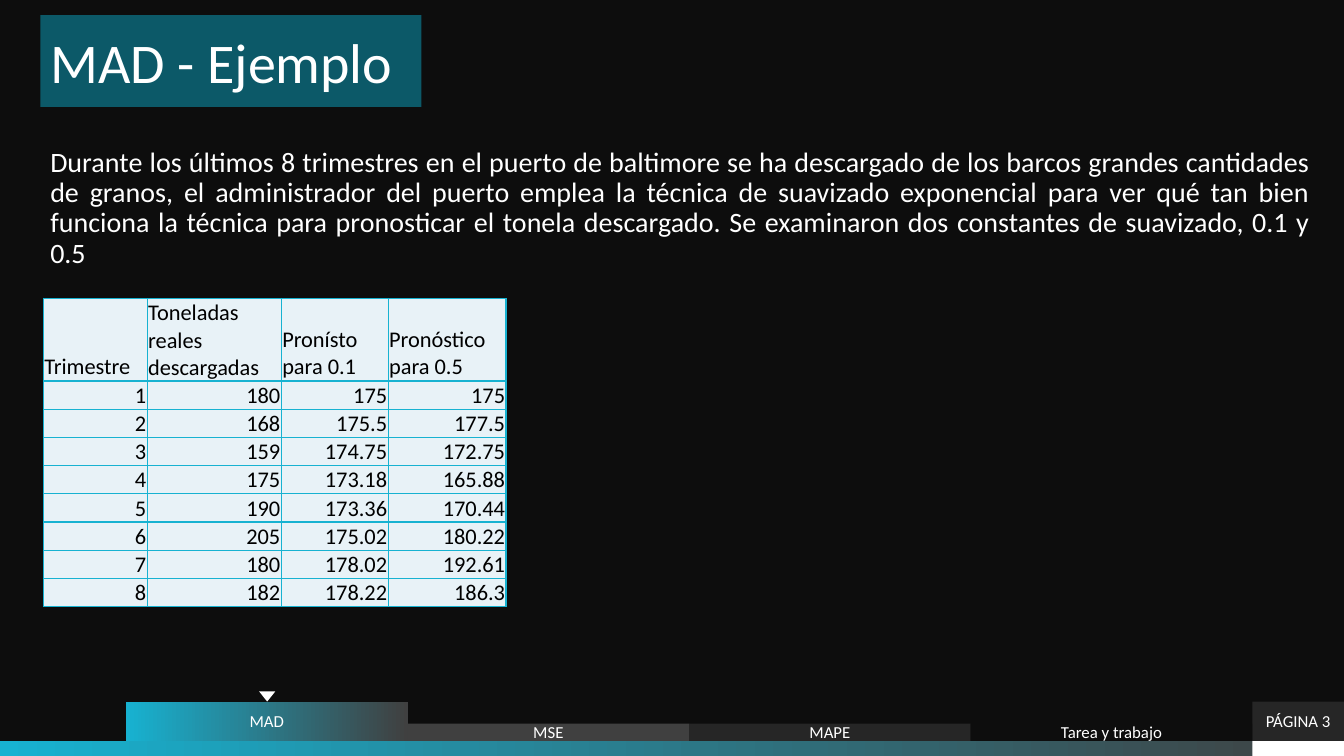
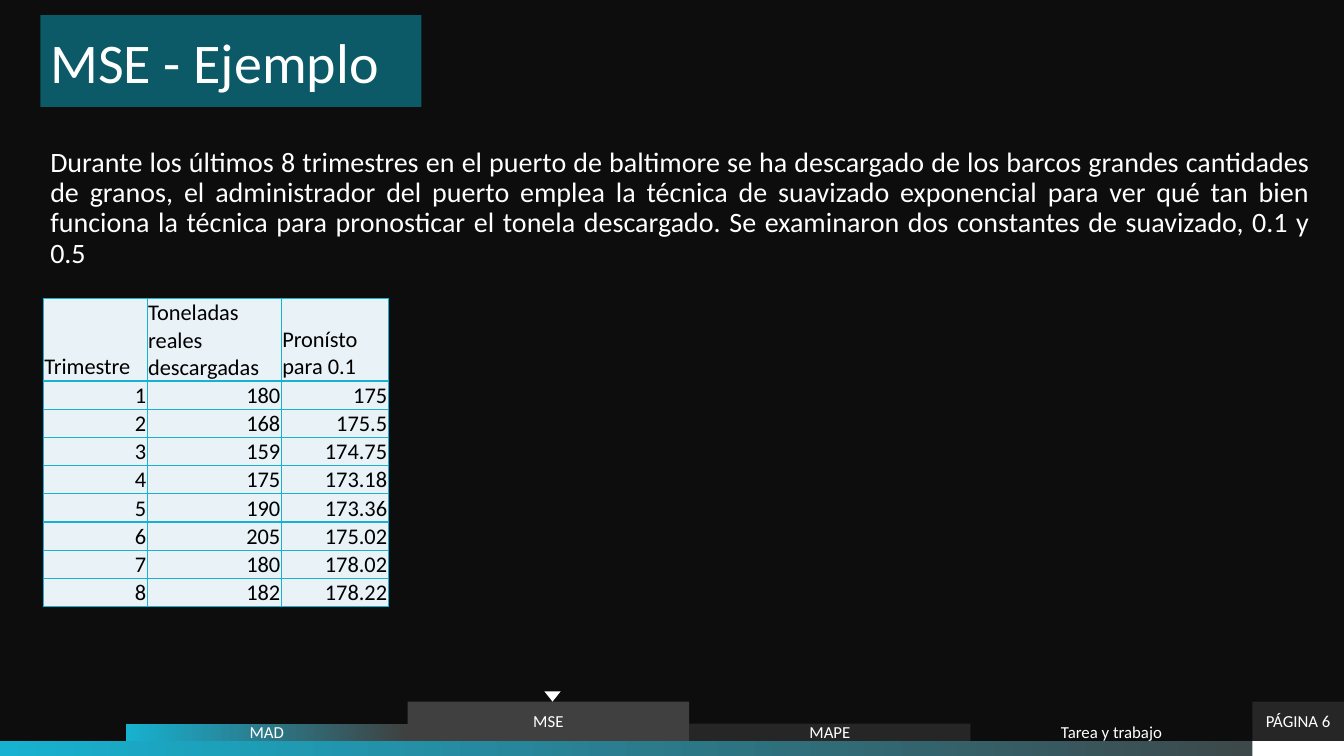
from lxml import etree
from pptx import Presentation
from pptx.dml.color import RGBColor
from pptx.enum import shapes, text
from pptx.oxml.ns import qn
from pptx.util import Inches, Pt

FONT = "Calibri"
BLACK, WHITE, INK = "000000", "FFFFFF", "0D0D0D"
CYAN, TEAL, PALE = "17B2D1", "0C5968", "E8F2F7"
GRAY, CHARCOAL = "404040", "262626"
FADE = (CYAN, GRAY)

STATEMENT = (
    "Durante los últimos 8 trimestres en el puerto de baltimore se ha descargado "
    "de los barcos grandes cantidades de granos, el administrador del puerto emplea "
    "la técnica de suavizado exponencial para ver qué tan bien funciona la técnica "
    "para pronosticar el tonela descargado. Se examinaron dos constantes de suavizado, "
    "0.1 y 0.5"
)
TABS = [("MAD", FADE), ("MSE", GRAY), ("MAPE", CHARCOAL), ("Tarea y trabajo", INK)]
COLUMNS = [
    ("Trimestre", 1.03),
    ("Toneladas reales descargadas", 1.33),
    ("Pronísto para 0.1", 1.06),
    ("Pronóstico para 0.5", 1.17),
]
QUARTERS = [
    ("1", "180", "175", "175"),
    ("2", "168", "175.5", "177.5"),
    ("3", "159", "174.75", "172.75"),
    ("4", "175", "173.18", "165.88"),
    ("5", "190", "173.36", "170.44"),
    ("6", "205", "175.02", "180.22"),
    ("7", "180", "178.02", "192.61"),
    ("8", "182", "178.22", "186.3"),
]
PAGES = [
    {"active": "MAD", "number": 3, "columns": 4, "marker": 2.65},
    {"active": "MSE", "number": 6, "columns": 3, "marker": 5.48},
]

WIDTH, HEIGHT = 13.33, 7.5
BAND_TOP, TAB_TOP, LOW_TAB_TOP = 7.35, 6.96, 7.18
TABS_LEFT, NUMBER_LEFT = 1.25, 12.42
TAB_WIDTH = (NUMBER_LEFT - TABS_LEFT) / len(TABS)
HEADER_ROW, BODY_ROW = 0.82, 0.28


def rgb(value):
    return RGBColor.from_string(value)


def write(frame, words, size=12, color=WHITE, align=text.PP_ALIGN.LEFT,
          anchor=text.MSO_ANCHOR.MIDDLE, spacing=None, margin_y=0):
    frame.word_wrap = True
    frame.vertical_anchor = anchor
    frame.margin_top = frame.margin_bottom = Inches(margin_y)
    para = frame.paragraphs[0]
    para.alignment = align
    if spacing:
        para.line_spacing = spacing
    span = para.add_run()
    span.text = words
    span.font.name = FONT
    span.font.size = Pt(size)
    span.font.color.rgb = rgb(color)


def add_block(page, left, top, width, height, fill,
              kind=shapes.MSO_SHAPE.RECTANGLE):
    block = page.shapes.add_shape(
        kind, Inches(left), Inches(top), Inches(width), Inches(height))
    block.shadow.inherit = False
    block.line.fill.background()
    if isinstance(fill, tuple):
        block.fill.gradient()
        block.fill.gradient_angle = 0
        for stop, color in zip(block.fill.gradient_stops, fill):
            stop.color.rgb = rgb(color)
    else:
        block.fill.solid()
        block.fill.fore_color.rgb = rgb(fill)
    return block


def add_footer(page, active, number, marker):
    center = text.PP_ALIGN.CENTER
    number_width = WIDTH - NUMBER_LEFT
    add_block(page, 0, BAND_TOP, WIDTH, HEIGHT - BAND_TOP, FADE)
    add_block(page, NUMBER_LEFT, BAND_TOP, number_width, HEIGHT - BAND_TOP, WHITE)
    box = add_block(page, NUMBER_LEFT, TAB_TOP, number_width, BAND_TOP - TAB_TOP, CHARCOAL)
    write(box.text_frame, f"PÁGINA {number}", align=center)
    for index, (label, fill) in enumerate(TABS):
        top = TAB_TOP if label == active else LOW_TAB_TOP
        tab = add_block(page, TABS_LEFT + index * TAB_WIDTH, top,
                        TAB_WIDTH, BAND_TOP - top, fill)
        write(tab.text_frame, label, align=center)
    arrow = add_block(page, marker - 0.08, TAB_TOP - 0.1, 0.16, 0.1, WHITE,
                      shapes.MSO_SHAPE.ISOSCELES_TRIANGLE)
    arrow.rotation = 180


def add_borders(cell, color):
    properties = cell._tc.get_or_add_tcPr()
    for index, side in enumerate(("lnL", "lnR", "lnT", "lnB")):
        line = etree.Element(qn(f"a:{side}"), w=str(Pt(1)))
        fill = etree.SubElement(line, qn("a:solidFill"))
        etree.SubElement(fill, qn("a:srgbClr"), val=color)
        properties.insert(index, line)


def add_quarters(page, count):
    columns = COLUMNS[:count]
    rows = [[name for name, _ in columns]] + [row[:count] for row in QUARTERS]
    width = sum(size for _, size in columns)
    height = HEADER_ROW + BODY_ROW * len(QUARTERS)
    table = page.shapes.add_table(
        len(rows), count, Inches(0.43), Inches(2.96), Inches(width), Inches(height)).table
    table.first_row = table.horz_banding = False
    for column, (_, size) in zip(table.columns, columns):
        column.width = Inches(size)
    for r, values in enumerate(rows):
        table.rows[r].height = Inches(BODY_ROW if r else HEADER_ROW)
        for c, value in enumerate(values):
            cell = table.cell(r, c)
            cell.fill.solid()
            cell.fill.fore_color.rgb = rgb(PALE)
            write(cell.text_frame, value, size=16, color=BLACK,
                  align=text.PP_ALIGN.RIGHT if r else text.PP_ALIGN.LEFT)
            cell.vertical_anchor = text.MSO_ANCHOR.BOTTOM
            cell.margin_left = cell.margin_right = cell.margin_top = Inches(0.01)
            cell.margin_bottom = 0
            add_borders(cell, CYAN)


def add_page(deck, active, number, columns, marker):
    page = deck.slides.add_slide(deck.slide_layouts[6])
    add_footer(page, active, number, marker)
    title = add_block(page, 0.4, 0.15, 3.78, 0.91, TEAL)
    write(title.text_frame, f"{active} - Ejemplo", size=40, margin_y=0.12)
    box = page.shapes.add_textbox(Inches(0.4), Inches(1.42), Inches(12.69), Inches(1.35))
    write(box.text_frame, STATEMENT, size=20, align=text.PP_ALIGN.JUSTIFY,
          anchor=text.MSO_ANCHOR.TOP, spacing=0.9, margin_y=0.05)
    add_quarters(page, columns)


def main():
    deck = Presentation()
    deck.slide_width, deck.slide_height = Inches(WIDTH), Inches(HEIGHT)
    backdrop = deck.slide_master.background.fill
    backdrop.solid()
    backdrop.fore_color.rgb = rgb(INK)
    for details in PAGES:
        add_page(deck, **details)
    deck.save("out.pptx")


if __name__ == "__main__":
    main()
